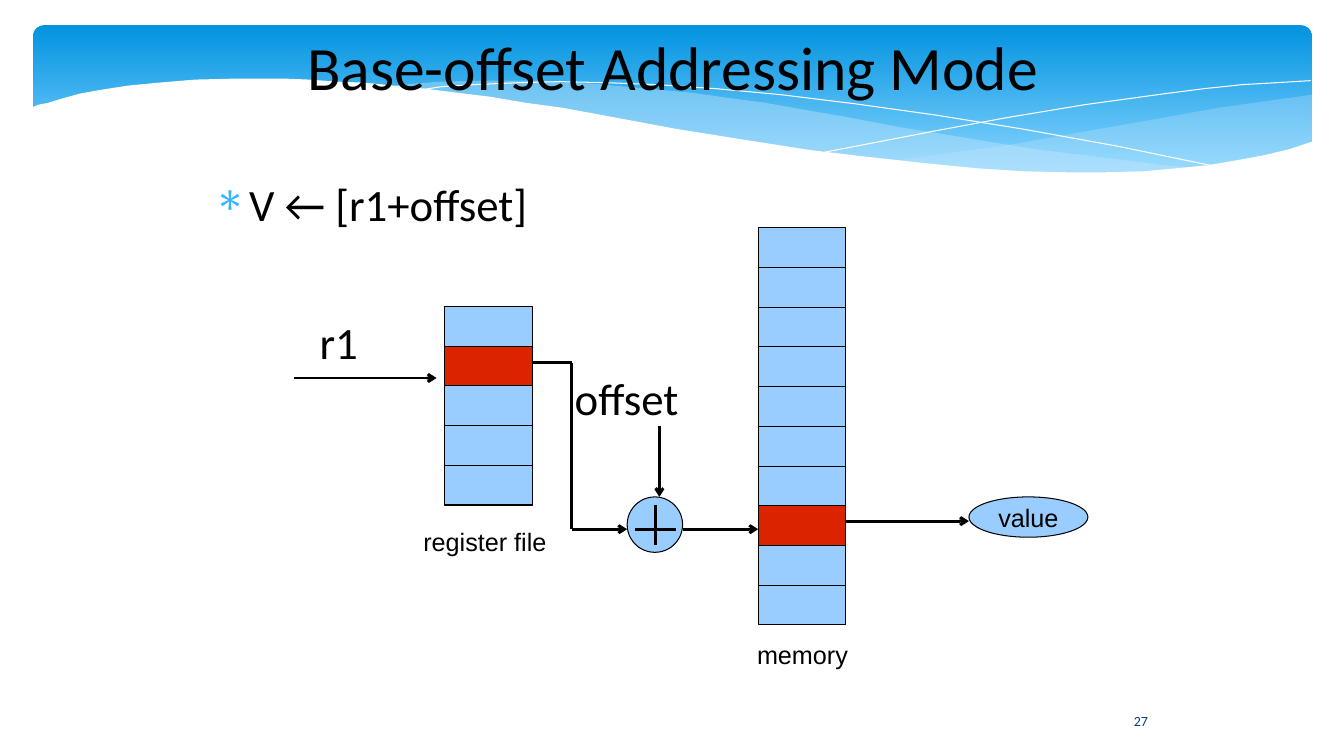
import pptx
import pptx.dml.color
import pptx.enum.shapes
import pptx.enum.text
import pptx.oxml.ns
import pptx.util
from lxml import etree

PX = 9144
SHAPE = pptx.enum.shapes.MSO_SHAPE
ALIGN = pptx.enum.text.PP_ALIGN
ANCHOR = pptx.enum.text.MSO_ANCHOR
BLACK, WHITE, SKY, RED, HAZE = "000000", "FFFFFF", "99CCFF", "DC2300", "C6E7FC"
CELL_W, CELL_H = 87, 39.4

RIGHT_HAZE = [
    (1301, 94), (1265, 99), (1208, 107), (1147, 118), (1073, 131), (1005, 143),
    (941, 152), (882, 160), (940, 165), (993, 169), (1041, 172), (1099, 172),
    (1151, 170), (1196, 165), (1238, 158), (1266, 152), (1301, 142)]
LEFT_HAZE = [
    (1190, 167), (1154, 164), (1116, 159), (1076, 154), (1034, 149), (989, 142),
    (941, 134), (891, 126), (839, 116), (798, 109), (759, 102), (721, 97),
    (686, 92), (652, 89), (619, 86), (589, 83), (560, 82), (532, 80), (482, 80),
    (437, 81), (399, 84), (382, 86), (431, 90), (483, 97), (539, 106),
    (599, 116), (654, 126), (706, 135), (755, 143), (802, 150), (846, 156),
    (887, 161), (926, 165), (963, 168), (998, 170), (1046, 172), (1090, 173),
    (1131, 172), (1167, 169)]
FALLING_LINE = [
    (412, 90), (438, 86), (470, 84), (516, 82), (555, 81), (600, 82), (652, 84),
    (710, 88), (775, 94), (848, 103), (927, 114), (1014, 128), (1108, 145),
    (1210, 166)]
RISING_LINE = [
    (818, 151), (870, 141), (927, 130), (997, 117), (1075, 104), (1155, 93),
    (1194, 88), (1232, 84), (1267, 82), (1300, 80)]
WHITE_WAVE = [
    (1303, 140), (1279, 148), (1254, 154), (1227, 159), (1198, 164), (1167, 167),
    (1134, 170), (1097, 171), (1058, 171), (1015, 170), (969, 167), (918, 162),
    (863, 156), (804, 149), (740, 139), (671, 128), (596, 114), (558, 107),
    (521, 102), (486, 96), (453, 92), (421, 88), (390, 85), (361, 82), (333, 81),
    (306, 79), (282, 78), (235, 78), (194, 79), (158, 82), (127, 85), (101, 89),
    (79, 93), (61, 98), (48, 102), (38, 104), (31, 107), (31, 224), (1303, 224)]


def px(n):
    """Turn px into EMU."""
    return round(n * PX)


def rgb(value):
    """Turn a hex string into a colour."""
    return pptx.dml.color.RGBColor.from_string(value)


def add_child(parent, tag, **attrs):
    """Append a DrawingML element with its attributes."""
    child = etree.SubElement(parent, pptx.oxml.ns.qn(tag))
    for key, value in attrs.items():
        child.set(key, str(value))
    return child


def paint(sp, fill=None, line=None, opacity=None):
    """Give a shape its fill and hairline outline, without shadow."""
    sp.shadow.inherit = False
    if fill:
        sp.fill.solid()
        sp.fill.fore_color.rgb = rgb(fill)
        if opacity:
            color = sp.fill._xPr.find(".//" + pptx.oxml.ns.qn("a:srgbClr"))
            add_child(color, "a:alpha", val=opacity * 1000)
    else:
        sp.fill.background()
    if line:
        sp.line.color.rgb = rgb(line)
        sp.line.width = pptx.util.Pt(0)
    else:
        sp.line.fill.background()


def write(sp, text, size, font="Calibri", color=BLACK, align=ALIGN.LEFT,
          anchor=ANCHOR.TOP, inset=(0, 0), wrap=True, hanging=False, bullet=None):
    """Set and format the single paragraph of a shape."""
    tf = sp.text_frame
    tf.word_wrap = wrap
    tf.vertical_anchor = anchor
    tf.margin_left = tf.margin_right = px(inset[0])
    tf.margin_top = tf.margin_bottom = px(inset[1])
    p = tf.paragraphs[0]
    p.text = text
    p.alignment = align
    if hanging:
        p.space_after = pptx.util.Pt(14.1)
        pPr = p._p.get_or_add_pPr()
        pPr.set("marL", str(px(47)))
        pPr.set("indent", str(px(-35)))
        if bullet:
            add_child(add_child(pPr, "a:buClr"), "a:srgbClr", val="31B6FD")
            add_child(pPr, "a:buChar", char=bullet)
    r = p.runs[0]
    r.font.size = pptx.util.Pt(size)
    r.font.name = font
    r.font.color.rgb = rgb(color)


def add_text(s, x, y, w, h, text, size, **style):
    """Add a text box."""
    write(s.shapes.add_textbox(px(x), px(y), px(w), px(h)), text, size, **style)


def add_label(s, x, y, w, text):
    """Add a caption below a column of cells."""
    add_text(s, x, y, w, 39, text, 18, font="Arial", inset=(10, 5), wrap=False)


def add_preset(s, kind, x, y, w, h, fill):
    """Add an outlined preset shape."""
    sp = s.shapes.add_shape(kind, px(x), px(y), px(w), px(h))
    paint(sp, fill, BLACK)
    return sp


def add_cells(s, x, y, count, marked):
    """Stack memory cells with one of them marked."""
    for i in range(count):
        add_preset(s, SHAPE.RECTANGLE, x, y + i * CELL_H, CELL_W, CELL_H,
                   RED if i == marked else SKY)


def add_line(s, x1, y1, x2, y2, arrow=False):
    """Add a straight hairline, with an open arrowhead if asked."""
    cx = s.shapes.add_connector(pptx.enum.shapes.MSO_CONNECTOR.STRAIGHT,
                                px(x1), px(y1), px(x2), px(y2))
    cx.line.color.rgb = rgb(BLACK)
    cx.line.width = pptx.util.Pt(0)
    if arrow:
        add_child(cx.line._get_or_add_ln(), "a:tailEnd", type="arrow")
    add_child(cx._element.spPr, "a:effectLst")


def add_wave(s, points, close=True, **style):
    """Add a freeform through the points."""
    fb = s.shapes.build_freeform(*points[0], scale=PX)
    fb.add_line_segments(points[1:], close=close)
    paint(fb.convert_to_shape(), **style)


def add_banner(s):
    """Draw the blue banner with its waves."""
    sp = s.shapes.add_shape(SHAPE.ROUNDED_RECTANGLE, px(33), px(25), px(1268), px(156))
    sp.adjustments[0] = 0.07
    paint(sp)
    sp.fill.gradient()
    sp.fill.gradient_angle = 270
    for stop, color, position in zip(sp.fill.gradient_stops, ("0293E0", "83D3FE"), (0, 0.9)):
        stop.color.rgb = rgb(color)
        stop.position = position
    add_wave(s, RIGHT_HAZE, fill=HAZE, opacity=29)
    add_wave(s, LEFT_HAZE, fill=HAZE, opacity=40)
    add_wave(s, FALLING_LINE, close=False, line=WHITE)
    add_wave(s, RISING_LINE, close=False, line=WHITE)
    add_wave(s, WHITE_WAVE, fill=WHITE)


def add_diagram(s):
    """Draw the path from register file to memory value."""
    add_cells(s, 441, 304, 5, 1)
    add_cells(s, 752, 226, 10, 7)
    add_label(s, 410, 517, 143, "register file")
    add_label(s, 741, 629, 111, "memory")
    add_line(s, 292, 375, 433, 375, arrow=True)
    add_line(s, 528, 360, 567, 360)
    add_line(s, 567, 360, 567, 525)
    add_line(s, 567, 525, 622, 525, arrow=True)
    add_line(s, 677, 525, 752, 525, arrow=True)
    add_line(s, 839, 517, 961, 517, arrow=True)
    value = add_preset(s, SHAPE.OVAL, 961, 493, 118, 40, SKY)
    write(value, "value", 18, font="Arial", align=ALIGN.CENTER, anchor=ANCHOR.MIDDLE,
          inset=(10, 5), wrap=False)
    add_preset(s, SHAPE.OVAL, 622, 493, 55, 55, SKY)
    add_line(s, 630, 525, 670, 525)
    add_line(s, 650, 501, 650, 541)
    add_line(s, 654, 423, 654, 493, arrow=True)
    add_text(s, 305, 312, 105, 54, "r1", 32, hanging=True)
    add_text(s, 558, 368, 182, 55, "offset", 32, hanging=True)


def main():
    """Build and save the slide."""
    prs = pptx.Presentation()
    prs.slide_width, prs.slide_height = px(1333), px(750)
    s = prs.slides.add_slide(prs.slide_layouts[6])
    add_banner(s)
    add_text(s, 1101, 695, 61, 40, "27", 10, color="073E87", align=ALIGN.CENTER,
             anchor=ANCHOR.MIDDLE)
    add_text(s, 192, 14, 951, 102, "Base-offset Addressing Mode", 44,
             align=ALIGN.CENTER, anchor=ANCHOR.MIDDLE)
    add_text(s, 200, 175, 811, 77, "V ← [r1+offset]", 32, hanging=True, bullet="∗")
    add_diagram(s)
    prs.save("out.pptx")


if __name__ == "__main__":
    main()
